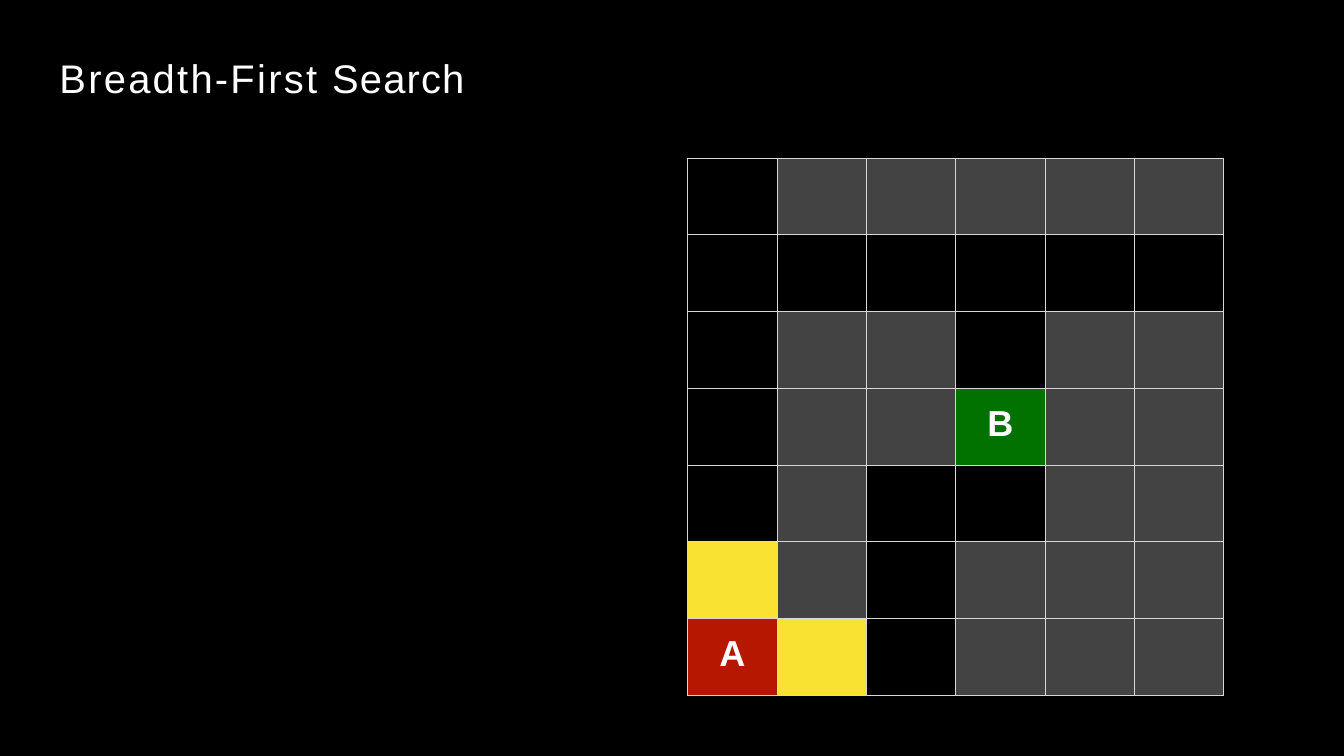
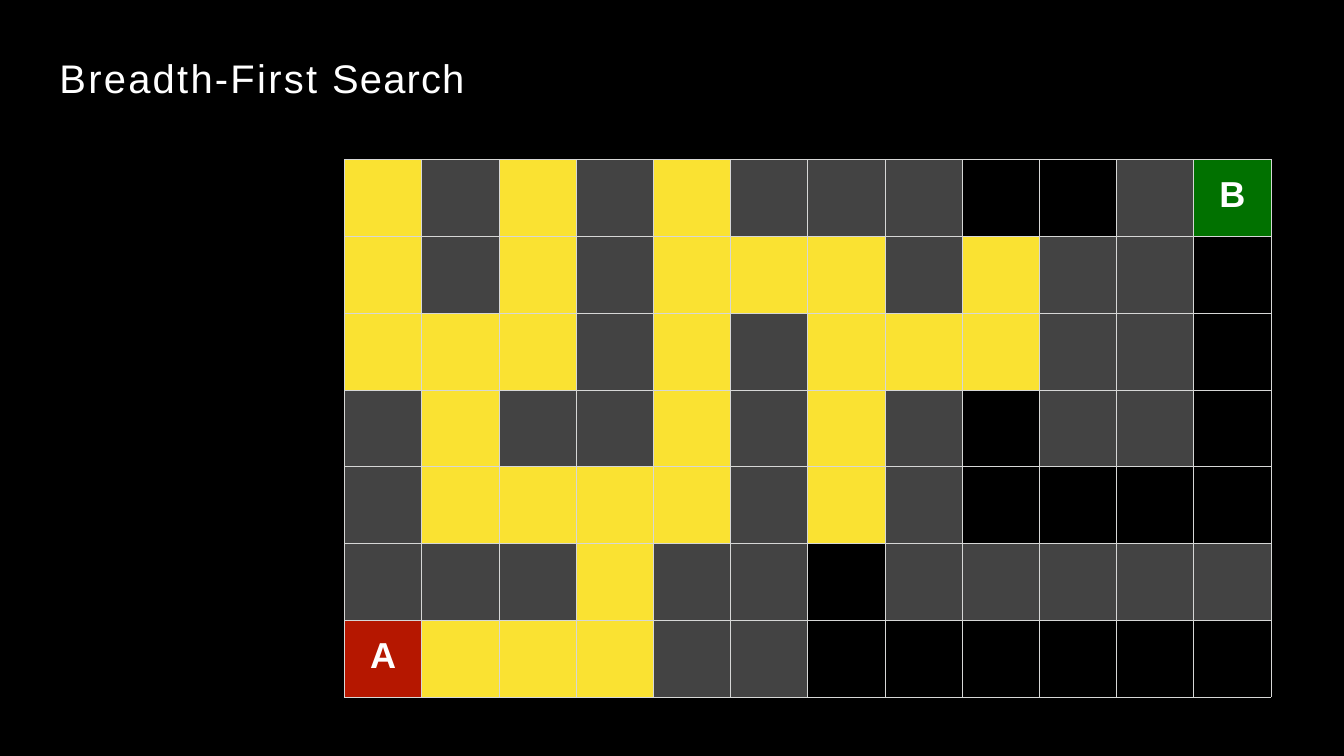
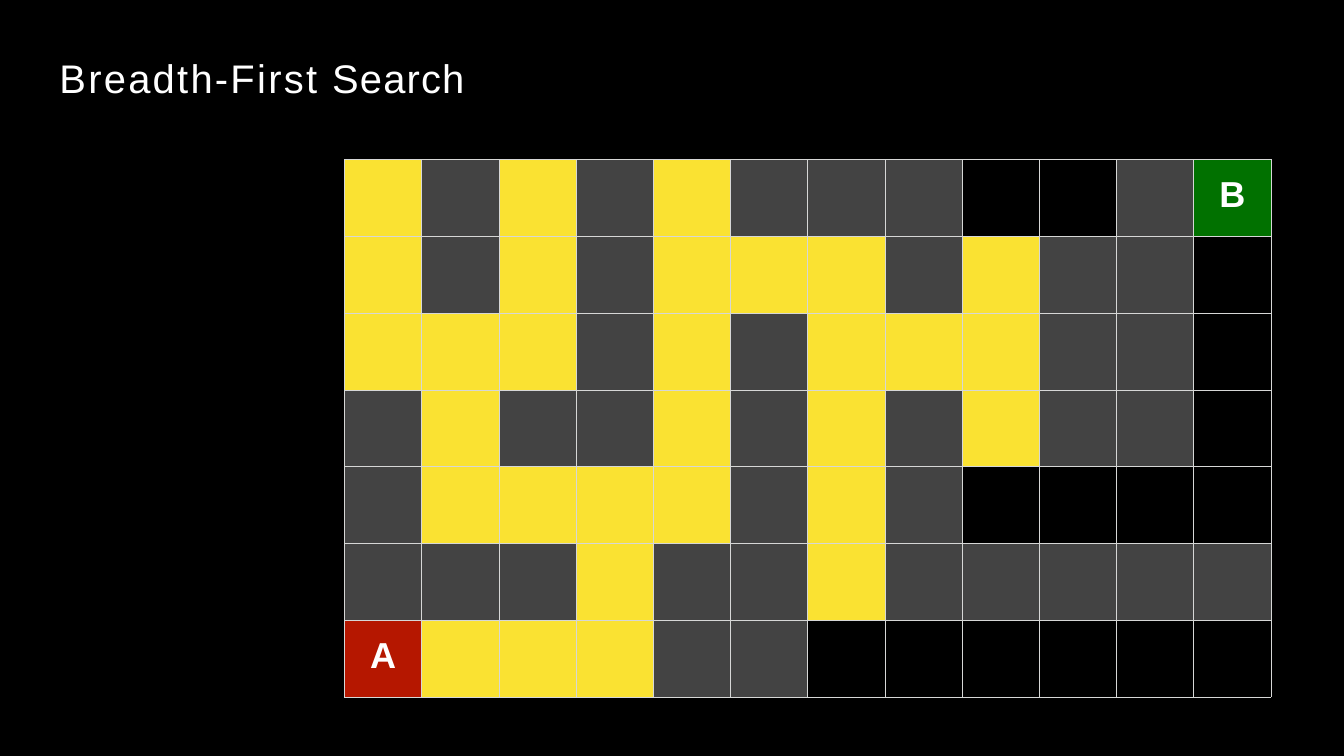
from dataclasses import dataclass

from lxml import etree
from pptx import Presentation
from pptx.dml.color import RGBColor
from pptx.enum.shapes import MSO_SHAPE
from pptx.enum.text import MSO_ANCHOR, PP_ALIGN
from pptx.oxml.ns import qn
from pptx.util import Pt

CENTER = PP_ALIGN.CENTER
TOP = MSO_ANCHOR.TOP
RECTANGLE = MSO_SHAPE.RECTANGLE
BLANK_LAYOUT = 6


@dataclass(frozen=True)
class Theme:
    font: str = "Arial"
    title_size: float = 47
    label_size: float = 42.5
    background: str = "000000"
    text: str = "FFFFFF"
    grid_line: str = "D6D7D6"
    grid_line_width: float = 1
    wall: str = "434343"
    explored: str = "FAE232"
    start: str = "B51700"
    goal: str = "017100"


THEME = Theme()

# Title runs with their letter spacing in points
TITLE_RUNS = [("Breadth-First", 2.7), (" Search", 1.4)]

ROW_HEIGHT = 90.48
LABEL_INSET = 18

# "#" wall, "." open, "*" explored, "+" explored in the next step
CELL_COLORS = {
    "#": THEME.wall,
    ".": THEME.background,
    "*": THEME.explored,
    "A": THEME.start,
    "B": THEME.goal,
}

SMALL_MAZE = """
.#####
......
.##.##
.##B##
.#..##
*#.###
A*.###
"""

WIDE_MAZE = """
*#*#*###..#B
*#*#***#*##.
***#*#***##.
#*##*#*#+##.
#****#*#....
###*##+#####
A***##......
"""

# Maze, left, top, column width
SLIDES = [
    (SMALL_MAZE, 810.2, 186, 105.2),
    (WIDE_MAZE.replace("+", "."), 406, 187.9, 90.96),
    (WIDE_MAZE.replace("+", "*"), 406, 187.9, 90.96),
]


def style_run(run, size, bold=False):
    run.font.name = THEME.font
    run.font.size = Pt(size)
    run.font.bold = bold
    run.font.color.rgb = RGBColor.from_string(THEME.text)


def add_borders(cell):
    """Outline all four sides; must come before the fill in the cell's XML."""
    properties = cell._tc.get_or_add_tcPr()
    for side in ("lnL", "lnR", "lnT", "lnB"):
        line = etree.SubElement(properties, qn(f"a:{side}"))
        line.set("w", str(Pt(THEME.grid_line_width)))
        fill = etree.SubElement(line, qn("a:solidFill"))
        etree.SubElement(fill, qn("a:srgbClr")).set("val", THEME.grid_line)


deck = Presentation()
deck.slide_width = Pt(1583.3)
deck.slide_height = Pt(890.6)

for maze, left, top, column_width in SLIDES:
    page = deck.slides.add_slide(deck.slide_layouts[BLANK_LAYOUT])

    backdrop = page.shapes.add_shape(
        RECTANGLE, 0, 0, deck.slide_width, deck.slide_height
    )
    backdrop.shadow.inherit = False
    backdrop.fill.solid()
    backdrop.fill.fore_color.rgb = RGBColor.from_string(THEME.background)
    backdrop.line.fill.background()

    rows = maze.split()
    row_count, column_count = len(rows), len(rows[0])
    table = page.shapes.add_table(
        row_count, column_count, Pt(left), Pt(top),
        Pt(column_width * column_count), Pt(ROW_HEIGHT * row_count),
    ).table
    table.first_row = False
    table.horz_banding = False
    for column in table.columns:
        column.width = Pt(column_width)
    for row in table.rows:
        row.height = Pt(ROW_HEIGHT)

    for row_index, row_marks in enumerate(rows):
        for column_index, mark in enumerate(row_marks):
            cell = table.cell(row_index, column_index)
            add_borders(cell)
            cell.fill.solid()
            cell.fill.fore_color.rgb = RGBColor.from_string(CELL_COLORS[mark])
            if mark in "AB":
                cell.margin_left = cell.margin_right = cell.margin_bottom = 0
                cell.margin_top = Pt(LABEL_INSET)
                cell.vertical_anchor = TOP
                para = cell.text_frame.paragraphs[0]
                para.text = mark
                para.alignment = CENTER
                style_run(para.runs[0], THEME.label_size, bold=True)

    title = page.shapes.add_textbox(Pt(70), Pt(62), Pt(481), Pt(58))
    frame = title.text_frame
    frame.word_wrap = True
    frame.vertical_anchor = TOP
    frame.margin_left = frame.margin_right = frame.margin_bottom = 0
    frame.margin_top = Pt(1)
    for text, spacing in TITLE_RUNS:
        span = frame.paragraphs[0].add_run()
        span.text = text
        style_run(span, THEME.title_size)
        span.font._element.set("spc", str(round(spacing * 100)))

deck.save("out.pptx")
